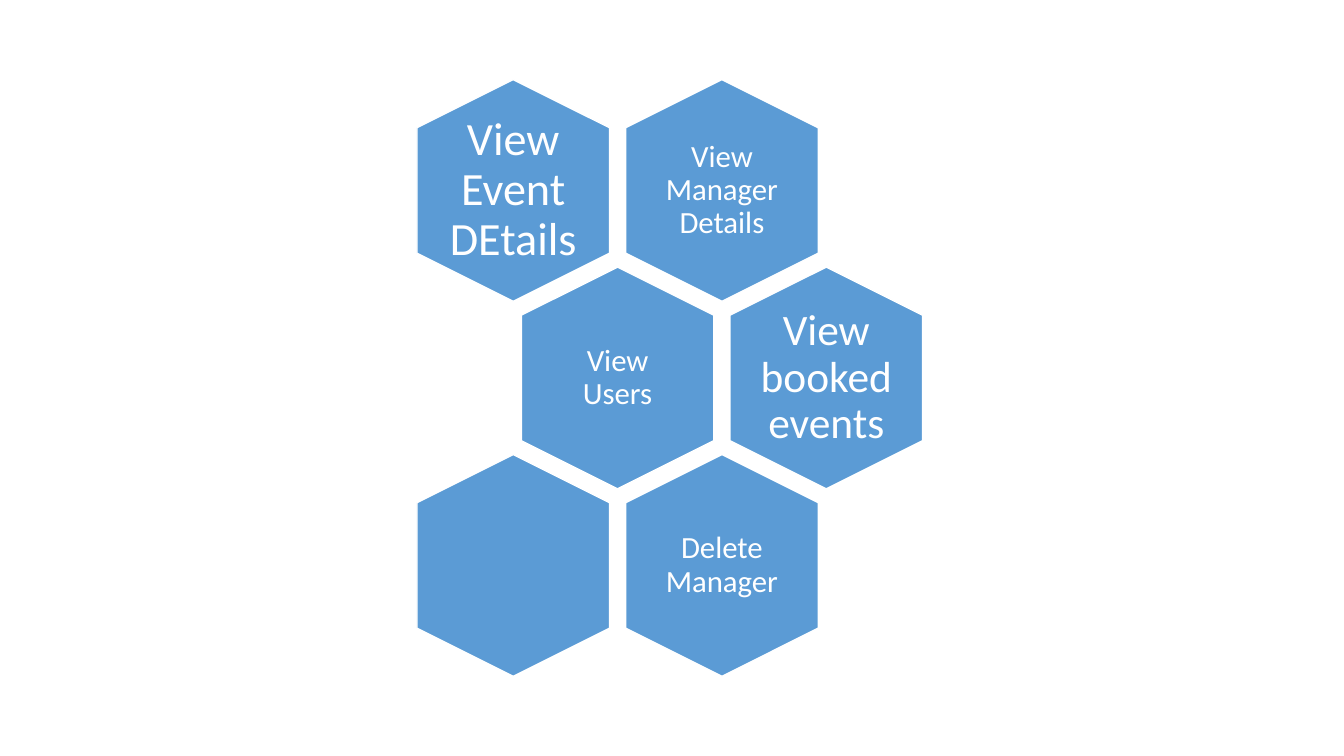
"""Build a slide with a honeycomb of event management actions."""
from dataclasses import dataclass

from pptx import Presentation
from pptx.dml.color import RGBColor
from pptx.enum.shapes import MSO_SHAPE
from pptx.enum.text import MSO_ANCHOR, PP_ALIGN
from pptx.util import Inches, Pt

HEXAGON = MSO_SHAPE.HEXAGON
MIDDLE = MSO_ANCHOR.MIDDLE
CENTER = PP_ALIGN.CENTER


@dataclass(frozen=True)
class Theme:
    """Colours, font and type sizes of the slide."""
    blue: RGBColor = RGBColor(0x5B, 0x9B, 0xD5)
    white: RGBColor = RGBColor(0xFF, 0xFF, 0xFF)
    font: str = "Calibri"
    small: int = 22
    medium: int = 31
    large: int = 33


class SlideBuilder:
    """Draw styled elements on the current slide."""

    def __init__(self, slide, theme):
        """Keep the slide and its theme."""
        self.slide = slide
        self.theme = theme

    def hexagon(self, cx, cy, width=2.2, height=1.91):
        """Add a hexagon standing on its point, centred at cx, cy."""
        sp = self.slide.shapes.add_shape(
            HEXAGON, Inches(cx - width / 2), Inches(cy - height / 2),
            Inches(width), Inches(height))
        sp.rotation = 90
        sp.adjustments[0] = 0.25
        sp.shadow.inherit = False
        sp.fill.solid()
        sp.fill.fore_color.rgb = self.theme.blue
        sp.line.color.rgb = self.theme.white
        sp.line.width = Pt(1)

    def label(self, text, cx, cy, size, inset, width=1.32, height=1.51):
        """Add centred text around cx, cy."""
        sp = self.slide.shapes.add_textbox(
            Inches(cx - width / 2), Inches(cy - height / 2),
            Inches(width), Inches(height))
        tf = sp.text_frame
        tf.word_wrap = True
        tf.vertical_anchor = MIDDLE
        tf.margin_left = tf.margin_right = Inches(inset)
        tf.margin_top = tf.margin_bottom = Inches(inset)
        p = tf.paragraphs[0]
        p.alignment = CENTER
        p.line_spacing = 0.9
        r = p.add_run()
        r.text = text
        r.font.name = self.theme.font
        r.font.size = Pt(size)
        r.font.color.rgb = self.theme.white


def main():
    """Lay out the honeycomb and save the presentation."""
    prs = Presentation()
    prs.slide_width, prs.slide_height = Inches(13.33), Inches(7.5)
    theme = Theme()
    builder = SlideBuilder(prs.slides.add_slide(prs.slide_layouts[6]), theme)

    left, top, col_step, row_step = 5.09, 1.89, 2.07, 1.86
    rows = [
        [("View Event DEtails", theme.large), ("View Manager Details", theme.small)],
        [("View Users", theme.small), ("View booked events", theme.medium)],
        [("", theme.small), ("Delete Manager", theme.small)],
    ]
    for row, actions in enumerate(rows):
        for col, (text, size) in enumerate(actions):
            cx = left + (col + row % 2 / 2) * col_step
            cy = top + row * row_step
            builder.hexagon(cx, cy)
            if text:
                inset = 0.09 if size == theme.small else 0
                builder.label(text, cx, cy, size, inset)

    prs.save("out.pptx")


main()
